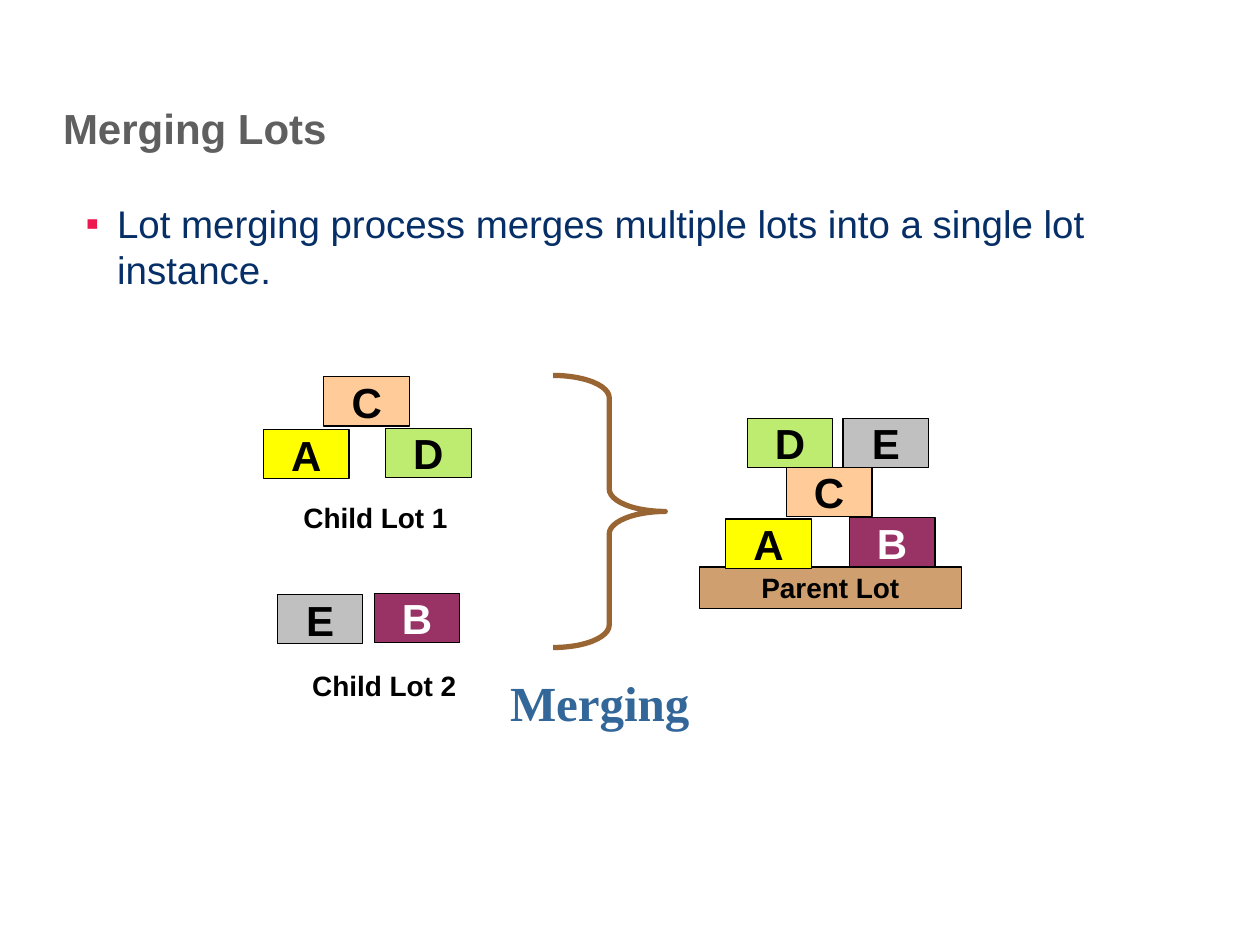
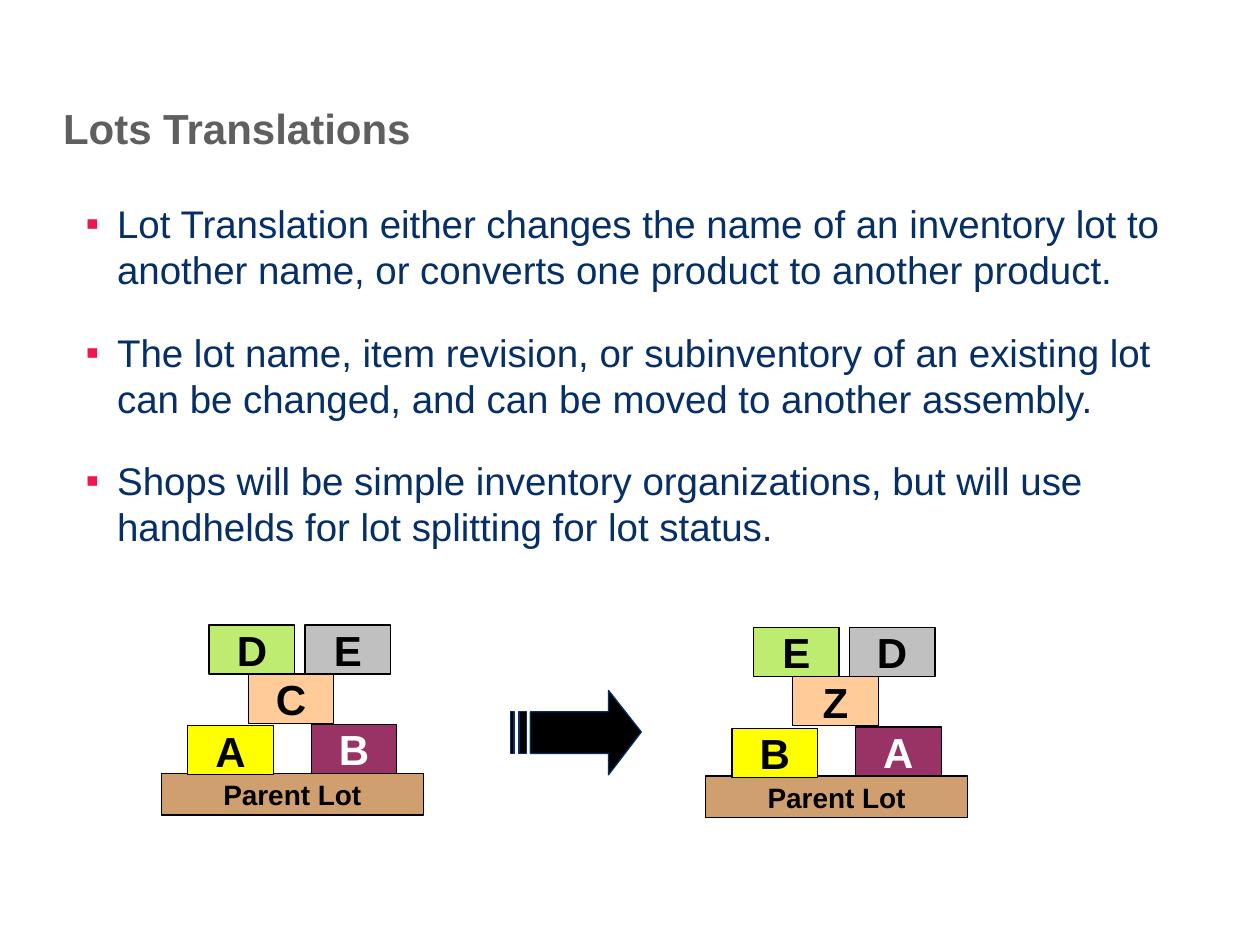
"""Build two slides on merging and translating inventory lots."""
from dataclasses import dataclass
from typing import Optional

from lxml.etree import SubElement
from pptx import Presentation
from pptx.dml.color import RGBColor
from pptx.enum.shapes import MSO_SHAPE
from pptx.enum.text import MSO_ANCHOR, MSO_AUTO_SIZE, PP_ALIGN
from pptx.oxml.ns import qn
from pptx.util import Inches, Pt


@dataclass(frozen=True)
class Theme:
    """Colours, fonts and type sizes."""
    title: str = "5F5F5F"
    body: str = "072F67"
    bullet: str = "ED164F"
    black: str = "000000"
    white: str = "FFFFFF"
    pallet: str = "CF9F6F"
    yellow: str = "FFFF00"
    plum: str = "993366"
    peach: str = "FFCC99"
    green: str = "BDEC70"
    grey: str = "C0C0C0"
    brace: str = "996633"
    caption: str = "336699"
    font: str = "Arial"
    caption_font: str = "Times New Roman"
    title_size: int = 24
    body_size: int = 22
    lot_size: int = 24
    label_size: int = 16
    caption_size: int = 28
    body_gap: float = 20.6
    outline: float = 0.75


THEME = Theme()


@dataclass(frozen=True)
class Box:
    """A labelled rectangle placed relative to its group."""
    text: str
    left: float
    top: float
    fill: str
    color: str = THEME.black
    width: float = 0.68
    height: float = 0.39
    size: int = THEME.lot_size


@dataclass(frozen=True)
class ChildLot:
    """A set of boxes above a caption."""
    caption: str
    left: float
    top: float
    boxes: tuple[Box, ...]


def set_text(shape, text: str, *, size: int, color: str, font: str = THEME.font,
             bold: bool = True, align=PP_ALIGN.LEFT, anchor=MSO_ANCHOR.TOP,
             wrap: bool = False, side_inset: float = 0.1,
             bullet: Optional[str] = None, gap: float = 0) -> None:
    """Fill a shape with one formatted paragraph per line of text."""
    frame = shape.text_frame
    frame.auto_size = MSO_AUTO_SIZE.NONE
    frame.word_wrap = wrap
    frame.vertical_anchor = anchor
    frame.margin_left = frame.margin_right = Inches(side_inset)
    frame.margin_top = frame.margin_bottom = Inches(0.05)
    for index, line in enumerate(text.split("\n")):
        paragraph = frame.add_paragraph() if index else frame.paragraphs[0]
        if bullet:
            add_bullet(paragraph, bullet)
        paragraph.alignment = align
        paragraph.space_before = Pt(gap if index else 0)
        run = paragraph.add_run()
        run.text = line
        run.font.name = font
        run.font.size = Pt(size)
        run.font.bold = bold
        run.font.color.rgb = RGBColor.from_string(color)


def add_bullet(paragraph, character: str) -> None:
    """Give a paragraph a coloured bullet and a hanging indent."""
    properties = paragraph._p.get_or_add_pPr()
    properties.set("marL", str(Inches(0.25)))
    properties.set("indent", str(-Inches(0.25)))
    color = SubElement(properties, qn("a:buClr"))
    SubElement(color, qn("a:srgbClr"), val=THEME.bullet)
    SubElement(properties, qn("a:buFont"), typeface=THEME.font)
    SubElement(properties, qn("a:buChar"), char=character)


def style_shape(shape, *, fill: Optional[str], line: str, width: float) -> None:
    """Set fill and outline and remove the shadow."""
    shape.shadow.inherit = False
    if fill:
        shape.fill.solid()
        shape.fill.fore_color.rgb = RGBColor.from_string(fill)
    else:
        shape.fill.background()
    shape.line.color.rgb = RGBColor.from_string(line)
    shape.line.width = Pt(width)


def add_slide(presentation, title: str, points: list[str], body_height: float):
    """Add a slide with its title and bulleted body."""
    slide = presentation.slides.add_slide(presentation.slide_layouts[5])
    heading = slide.shapes.title
    heading.left, heading.top = Inches(0.5), Inches(0.35)
    heading.width, heading.height = Inches(8.6), Inches(0.91)
    set_text(heading, title, size=THEME.title_size, color=THEME.title,
             anchor=MSO_ANCHOR.BOTTOM, wrap=True, side_inset=0)
    body = slide.shapes.add_textbox(Inches(0.68), Inches(1.54),
                                    Inches(8.78), Inches(body_height))
    set_text(body, "\n".join(points), size=THEME.body_size, color=THEME.body,
             bold=False, wrap=True, side_inset=0, bullet="▪", gap=THEME.body_gap)
    return slide


def add_label(shapes, text: str, left: float, top: float, width: float,
              height: float, **text_format) -> None:
    """Add a free-standing text label."""
    label = shapes.add_textbox(Inches(left), Inches(top), Inches(width), Inches(height))
    set_text(label, text, **text_format)


def add_boxes(slide, boxes: tuple[Box, ...], left: float, top: float):
    """Draw boxes as one group offset from a corner."""
    group = slide.shapes.add_group_shape()
    for box in boxes:
        shape = group.shapes.add_shape(
            MSO_SHAPE.RECTANGLE, Inches(left + box.left), Inches(top + box.top),
            Inches(box.width), Inches(box.height))
        style_shape(shape, fill=box.fill, line=THEME.black, width=THEME.outline)
        set_text(shape, box.text, size=box.size, color=box.color,
                 align=PP_ALIGN.CENTER, anchor=MSO_ANCHOR.MIDDLE)
    return group


def add_parent_lot(slide, left: float, top: float, letters: str = "ABCDE") -> None:
    """Stack five lots on a pallet whose top left corner is given."""
    first, second, third, fourth, fifth = letters
    add_boxes(slide, (
        Box("Parent Lot", 0, 0, THEME.pallet, width=2.08, height=0.33,
            size=THEME.label_size),
        Box(first, 0.21, -0.38, THEME.yellow),
        Box(second, 1.19, -0.39, THEME.plum, THEME.white),
        Box(third, 0.69, -0.79, THEME.peach),
        Box(fourth, 0.38, -1.18, THEME.green),
        Box(fifth, 1.14, -1.18, THEME.grey),
    ), left, top)


def add_child_lot(slide, lot: ChildLot) -> None:
    """Draw a child lot and its caption."""
    group = add_boxes(slide, lot.boxes, lot.left, lot.top)
    add_label(group.shapes, lot.caption, lot.left, lot.top, 1.34, 0.37,
              size=THEME.label_size, color=THEME.black)


def add_merging_brace(slide) -> None:
    """Draw the brace that joins the child lots, with its caption."""
    brace = slide.shapes.add_shape(MSO_SHAPE.RIGHT_BRACE, Inches(4.39), Inches(2.98),
                                   Inches(0.89), Inches(2.16))
    brace.adjustments[0] = 0.2
    style_shape(brace, fill=None, line=THEME.brace, width=3)
    add_label(slide.shapes, "Merging", 3.89, 5.29, 1.74, 0.58,
              size=THEME.caption_size, color=THEME.caption,
              font=THEME.caption_font, align=PP_ALIGN.CENTER)


def add_striped_arrow(slide) -> None:
    """Draw the translation arrow with two stripes at its tail."""
    top, bottom = 5.65, 5.98
    head = [(4.83, 5.48), (4.83, top), (4.21, top), (4.21, bottom),
            (4.83, bottom), (4.83, 6.15), (5.09, 5.81)]
    stripes = [[(left, top), (left, bottom), (right, bottom), (right, top)]
               for left, right in ((4.12, 4.18), (4.05, 4.08))]
    builder = slide.shapes.build_freeform(Inches(head[0][0]), Inches(head[0][1]))
    for index, outline in enumerate([head, *stripes]):
        points = [(Inches(x), Inches(y)) for x, y in outline]
        if index:
            builder.move_to(*points[0])
        builder.add_line_segments(points[1:], close=True)
    style_shape(builder.convert_to_shape(), fill=THEME.black, line=THEME.body,
                width=THEME.outline)


CHILD_LOTS = (
    ChildLot("Child Lot 1", 2.31, 3.92, (
        Box("A", -0.22, -0.51, THEME.yellow),
        Box("D", 0.75, -0.52, THEME.green),
        Box("C", 0.26, -0.93, THEME.peach))),
    ChildLot("Child Lot 2", 2.38, 5.26, (
        Box("E", -0.18, -0.54, THEME.grey),
        Box("B", 0.59, -0.55, THEME.plum, THEME.white))),
)


def build_merging_slide(presentation) -> None:
    """Build the slide on merging lots."""
    slide = add_slide(presentation, "Merging Lots", [
        "Lot merging process merges multiple lots into a single lot instance.",
    ], body_height=5.38)
    add_parent_lot(slide, 5.55, 4.5)
    for lot in CHILD_LOTS:
        add_child_lot(slide, lot)
    add_merging_brace(slide)


def build_translation_slide(presentation) -> None:
    """Build the slide on translating lots."""
    slide = add_slide(presentation, "Lots Translations", [
        "Lot Translation either changes the name of an inventory lot to another name, "
        "or converts one product to another product.",
        "The lot name, item revision, or subinventory of an existing lot can be changed, "
        "and can be moved to another assembly.",
        "Shops will be simple inventory organizations, but will use handhelds for lot "
        "splitting for lot status.",
    ], body_height=2.85)
    add_parent_lot(slide, 1.28, 6.14)
    add_striped_arrow(slide)
    add_parent_lot(slide, 5.6, 6.16, "BAZED")


def main() -> None:
    """Build and save the presentation."""
    presentation = Presentation()
    presentation.slide_width, presentation.slide_height = Inches(10), Inches(7.5)
    build_merging_slide(presentation)
    build_translation_slide(presentation)
    presentation.save("out.pptx")


if __name__ == "__main__":
    main()
